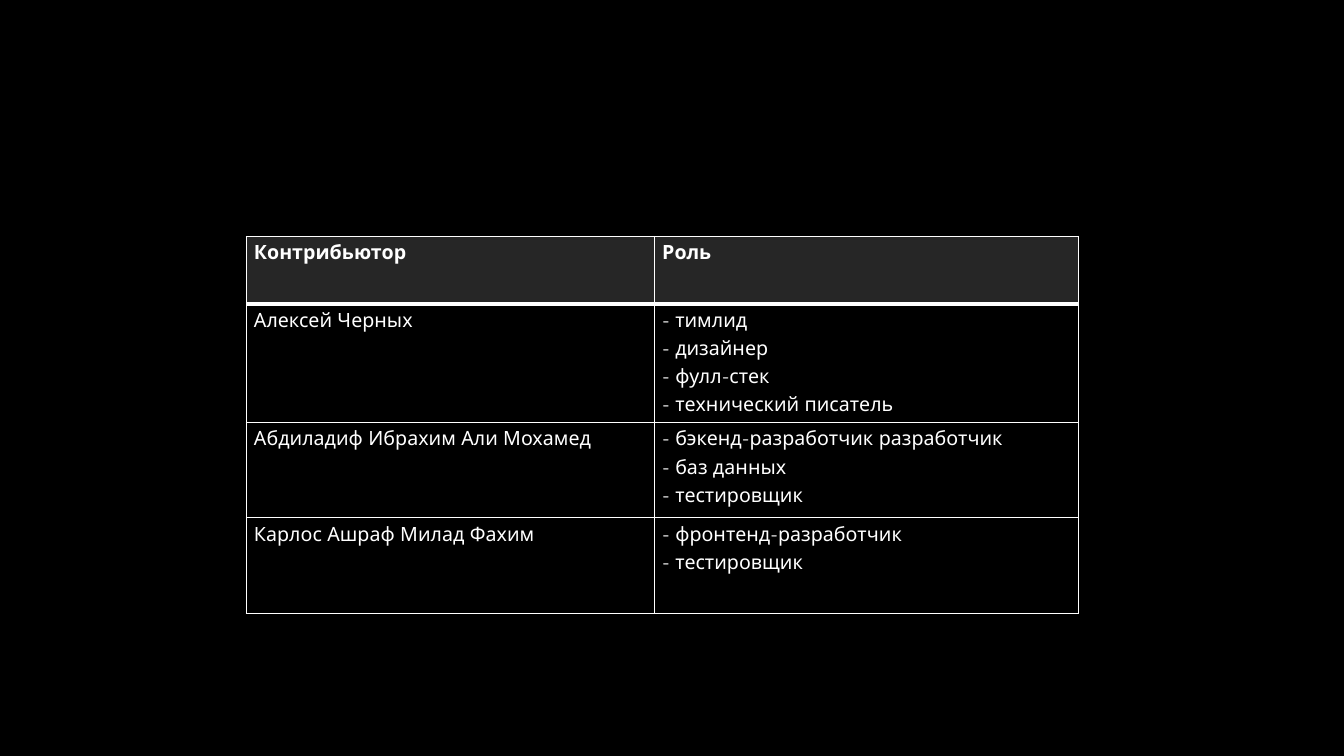
from dataclasses import dataclass

from lxml.etree import SubElement
from pptx import Presentation
from pptx.dml.color import RGBColor
from pptx.oxml.ns import qn
from pptx.util import Cm, Pt


@dataclass(frozen=True)
class Theme:
    background: str = "000000"
    header: str = "262626"
    ink: str = "FFFFFF"
    font: str = "Quicksand"
    size: int = 14
    thin: int = 1
    thick: int = 3


theme = Theme()


def write(cell, text, bold=False):
    cell.margin_left = cell.margin_right = Cm(0.19)
    cell.margin_top = cell.margin_bottom = 0
    paragraph = cell.text_frame.paragraphs[0]
    paragraph.text = text
    paragraph.line_spacing = 1.15
    paragraph.space_after = Pt(8)
    for run in paragraph.runs:
        run.font.name = theme.font
        run.font.size = Pt(theme.size)
        run.font.bold = bold
        run.font.color.rgb = RGBColor.from_string(theme.ink)


def draw_borders(cell, top, bottom):
    properties = cell._tc.get_or_add_tcPr()
    sides = {"L": theme.thin, "R": theme.thin, "T": top, "B": bottom}
    for side, width in sides.items():
        line = SubElement(properties, qn(f"a:ln{side}"), w=str(Pt(width)))
        fill = SubElement(line, qn("a:solidFill"))
        SubElement(fill, qn("a:srgbClr"), val=theme.ink)


# Slide on a black background
deck = Presentation()
deck.slide_width, deck.slide_height = Cm(33.87), Cm(19.05)
slide = deck.slides.add_slide(deck.slide_layouts[6])
slide.background.fill.solid()
slide.background.fill.fore_color.rgb = RGBColor.from_string(theme.background)

# Contributors and their roles
team = [
    ("Контрибьютор", ["Роль"]),
    ("Алексей Черных", ["- тимлид", "- дизайнер", "- фулл-стек", "- технический писатель"]),
    ("Абдиладиф Ибрахим Али Мохамед",
     ["- бэкенд-разработчик разработчик", "- баз данных", "- тестировщик"]),
    ("Карлос Ашраф Милад Фахим", ["- фронтенд-разработчик", "- тестировщик"]),
]
column_widths = [Cm(10.29), Cm(10.69)]
row_heights = [Cm(1.7), Cm(2.99), Cm(2.4), Cm(2.4)]

# Table grid
contributors = slide.shapes.add_table(
    len(team), 2, Cm(6.21), Cm(5.96), sum(column_widths), sum(row_heights)
).table
for column, width in zip(contributors.columns, column_widths):
    column.width = width
for row, height in zip(contributors.rows, row_heights):
    row.height = height

# Cell text, borders and fills; a thick rule closes the header
for index, (person, roles) in enumerate(team):
    is_header = index == 0
    for cell, text in zip(contributors.rows[index].cells, (person, "\n".join(roles))):
        write(cell, text, bold=is_header)
        draw_borders(
            cell,
            top=theme.thick if index == 1 else theme.thin,
            bottom=theme.thick if is_header else theme.thin,
        )
        cell.fill.solid()
        cell.fill.fore_color.rgb = RGBColor.from_string(
            theme.header if is_header else theme.background
        )

deck.save("out.pptx")
